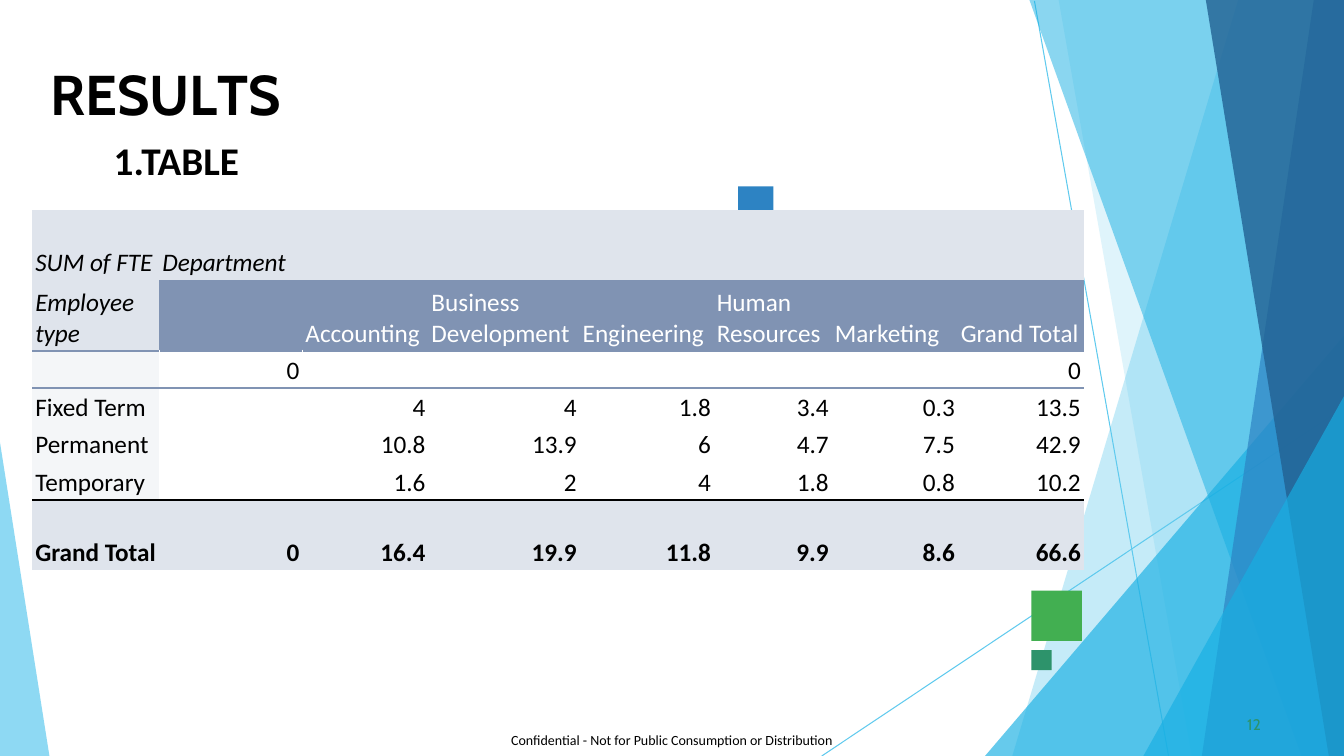
from pptx import Presentation
from pptx.dml.color import RGBColor
from pptx.enum.shapes import MSO_CONNECTOR as CONN, MSO_SHAPE as SHAPE
from pptx.enum.text import MSO_ANCHOR as ANCHOR, PP_ALIGN as ALIGN
from pptx.oxml.ns import qn
from pptx.util import Inches, Pt
from lxml.etree import SubElement

W, H = 13.33, 7.5
BLACK, WHITE = "000000", "FFFFFF"
SKY, CYAN, BLUE, GREEN = "5FCAEE", "17AFE3", "2D83C3", "2D936B"
PALE, SLATE, MIST = "DFE4EC", "8093B3", "F4F6F8"
NO_STYLE = "{2D5ABB26-0587-4C30-8999-92F81FD0307C}"


def rgb(value):
    return RGBColor.from_string(value)


class SlideBuilder:
    def __init__(self, slide, font="Calibri"):
        self.shapes = slide.shapes
        self.font = font

    def style_run(self, r, size, color=BLACK, bold=False, italic=False, font=None, spc=0):
        r.font.name = font or self.font
        r.font.size = Pt(size)
        r.font.bold, r.font.italic = bold, italic
        r.font.color.rgb = rgb(color)
        if spc:
            r.font._element.set("spc", str(round(spc * 100)))

    def paint(self, sp, color, alpha=100):
        sp.shadow.inherit = False
        sp.fill.solid()
        sp.fill.fore_color.rgb = rgb(color)
        sp.line.fill.background()
        if alpha < 100:
            clr = sp._element.spPr.find(".//" + qn("a:srgbClr"))
            SubElement(clr, qn("a:alpha")).set("val", str(alpha * 1000))

    def facet(self, points, color, alpha):
        pts = [(Inches(x), Inches(y)) for x, y in points]
        builder = self.shapes.build_freeform(*pts[0])
        builder.add_line_segments(pts[1:], close=True)
        self.paint(builder.convert_to_shape(), color, alpha)

    def square(self, x, y, side, color):
        sp = self.shapes.add_shape(SHAPE.RECTANGLE, Inches(x), Inches(y),
                                   Inches(side), Inches(side))
        self.paint(sp, color)

    def line(self, x1, y1, x2, y2, color, width):
        cn = self.shapes.add_connector(CONN.STRAIGHT, Inches(x1), Inches(y1),
                                       Inches(x2), Inches(y2))
        cn.line.color.rgb = rgb(color)
        cn.line.width = Pt(width)
        SubElement(cn._element.spPr, qn("a:effectLst"))

    def text(self, x, y, w, h, pieces, size, margins=(0, 0, 0, 0), before=0, **style):
        """pieces: (text, letter spacing in points) pairs."""
        box = self.shapes.add_textbox(Inches(x), Inches(y), Inches(w), Inches(h))
        tf = box.text_frame
        tf.word_wrap = True
        tf.margin_left, tf.margin_top, tf.margin_right, tf.margin_bottom = map(Inches, margins)
        p = tf.paragraphs[0]
        p.space_before = Pt(before)
        for text, spc in pieces:
            r = p.add_run()
            r.text = text
            self.style_run(r, size, spc=spc, **style)

    def border(self, cell, side, color, width):
        ln = SubElement(cell._tc.get_or_add_tcPr(), qn("a:ln" + side))
        ln.set("w", str(Pt(width)))
        SubElement(SubElement(ln, qn("a:solidFill")), qn("a:srgbClr")).set("val", color)

    def cell(self, cell, text, fill, borders, align, **style):
        cell.margin_left = cell.margin_right = Inches(0.03)
        cell.margin_top = cell.margin_bottom = Inches(0.02)
        cell.vertical_anchor = ANCHOR.BOTTOM
        for side, color, width in borders:
            self.border(cell, side, color, width)
        cell.fill.solid()
        cell.fill.fore_color.rgb = rgb(fill)
        cell.text_frame.text = text
        p = cell.text_frame.paragraphs[0]
        p.alignment = align
        for r in p.runs:
            self.style_run(r, 18, **style)

    def table(self, x, y, widths, heights):
        frame = self.shapes.add_table(len(heights), len(widths), Inches(x), Inches(y),
                                      Inches(sum(widths)), Inches(sum(heights)))
        tbl = frame.table
        tbl.first_row = tbl.horz_banding = False
        tbl._tbl.tblPr.find(qn("a:tableStyleId")).text = NO_STYLE
        for col, width in zip(tbl.columns, widths):
            col.width = Inches(width)
        for row, height in zip(tbl.rows, heights):
            row.height = Inches(height)
        return tbl


prs = Presentation()
prs.slide_width, prs.slide_height = Inches(W), Inches(H)
s = SlideBuilder(prs.slides.add_slide(prs.slide_layouts[6]))

# Background lines and translucent facets
s.line(10.26, 0.01, 11.59, H, SKY, 0.75)
s.line(W, 4.04, 8.15, H, SKY, 0.75)


def band(top, bottom):
    return [(W, 0), (top, 0), (bottom, H), (W, H)]


def wedge(y, bottom):
    return [(W, y), (bottom, H), (W, H)]


for points, color, alpha in [
    (band(12.28, 10.04), SKY, 36),
    (band(10.5, 11.82), SKY, 20),
    (wedge(3.33, 9.77), CYAN, 66),
    (band(10.21, 12.91), CYAN, 50),
    (band(13.03, 11.92), BLUE, 70),
    (band(11.96, 13.18), "226192", 80),
    (wedge(3.93, 11.34), CYAN, 66),
    ([(0, 4.39), (0, H), (0.49, H)], SKY, 70),
]:
    s.facet(points, color, alpha)

# Footer and small squares
s.text(5.07, 7.26, 3.23, 0.17,
       [("Confidential - Not for Public Consumption or Distribution", 0)], 10)
s.square(10.23, 5.86, 0.5, "42AF51")
s.square(7.32, 1.85, 0.35, BLUE)
s.square(10.23, 6.45, 0.2, GREEN)

# Title, page number and subtitle
s.text(0.49, 0.58, 2.67, 0.69,
       [("R", 0), ("E", -0.4), ("S", 0.1), ("U", -0.3), ("L", -4), ("TS", 0)], 40,
       margins=(0.01, 0.01, 0, 0), before=1.1, bold=True, font="Cabin")
s.text(12.33, 7.08, 0.25, 0.21, [("12", 0.1)], 11,
       margins=(0.04, 0.01, 0, 0), before=0.6, color=GREEN, font="Cabin")
s.text(1.03, 1.3, 6.67, 0.57, [("1.TABLE", 0)], 28, margins=(0.1, 0.05, 0.1, 0.05), bold=True)

# Pivot table
rows = [
    ["SUM of FTE", "Department", "", "", "", "", "", ""],
    ["Employee type", "", "Accounting", "Business Development", "Engineering",
     "Human Resources", "Marketing", "Grand Total"],
    ["", "0", "", "", "", "", "", "0"],
    ["Fixed Term", "", "4", "4", "1.8", "3.4", "0.3", "13.5"],
    ["Permanent", "", "10.8", "13.9", "6", "4.7", "7.5", "42.9"],
    ["Temporary", "", "1.6", "2", "4", "1.8", "0.8", "10.2"],
    ["Grand Total", "0", "16.4", "19.9", "11.8", "9.9", "8.6", "66.6"],
]
tbl = s.table(0.32, 2.08, [1.26, 1.42, 1.25, 1.5, 1.33, 1.17, 1.25, 1.25],
              [0.7, 0.7, 0.37, 0.37, 0.37, 0.37, 0.7])
last = len(rows) - 1
rules = {1: ("B", SLATE, 1.8), 2: ("T", SLATE, 1.8),
         last - 1: ("B", BLACK, 1.8), last: ("T", BLACK, 1.8)}

for i, row in enumerate(rows):
    body = 1 < i < last
    for j, text in enumerate(row):
        header = i == 1 and j > 0
        if body:
            fill = WHITE if j else MIST
        else:
            fill = SLATE if header else PALE
        borders = []
        if body and j < 2:
            borders.append(("L" if j else "R", WHITE, 0.6))
        if i in rules:
            borders.append(rules[i])
        s.cell(tbl.cell(i, j), text, fill, borders,
               ALIGN.RIGHT if i > 1 and j else ALIGN.LEFT,
               color=WHITE if header else BLACK,
               bold=i == last, italic=i < 2 and not header)

prs.save("out.pptx")
